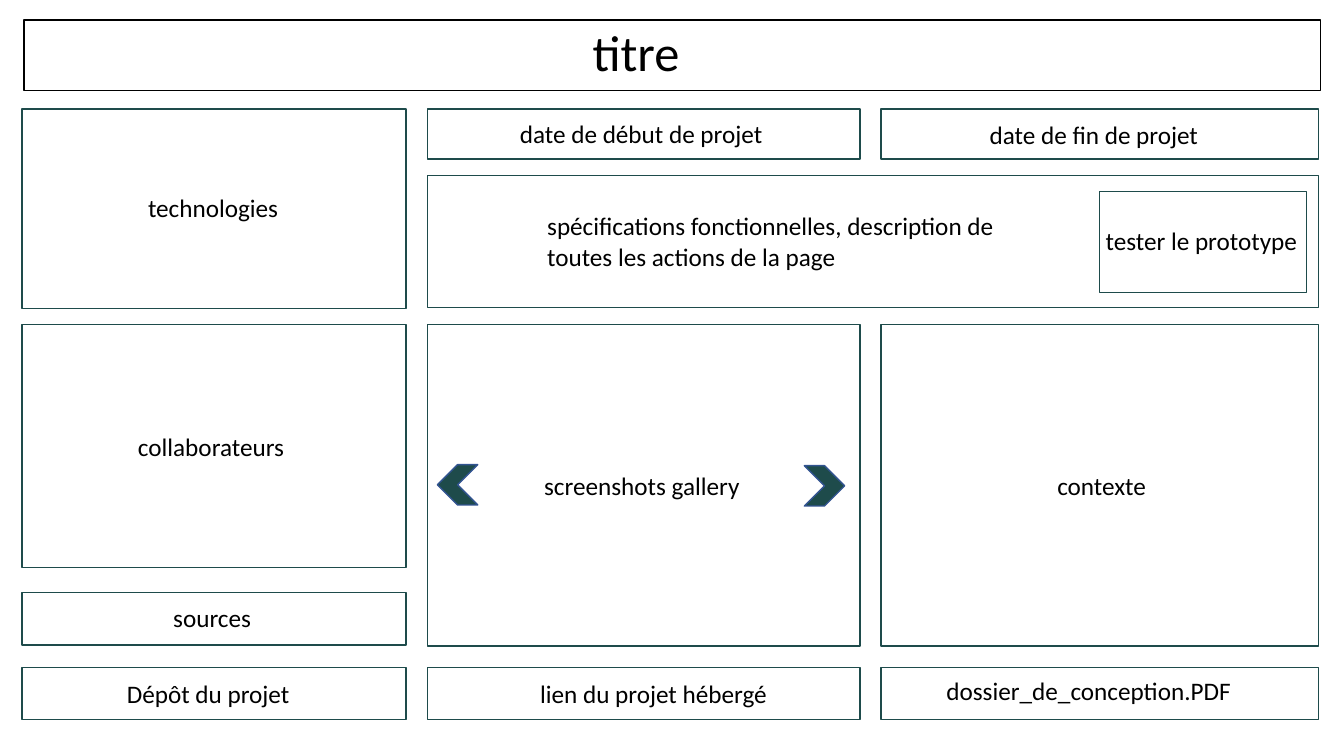
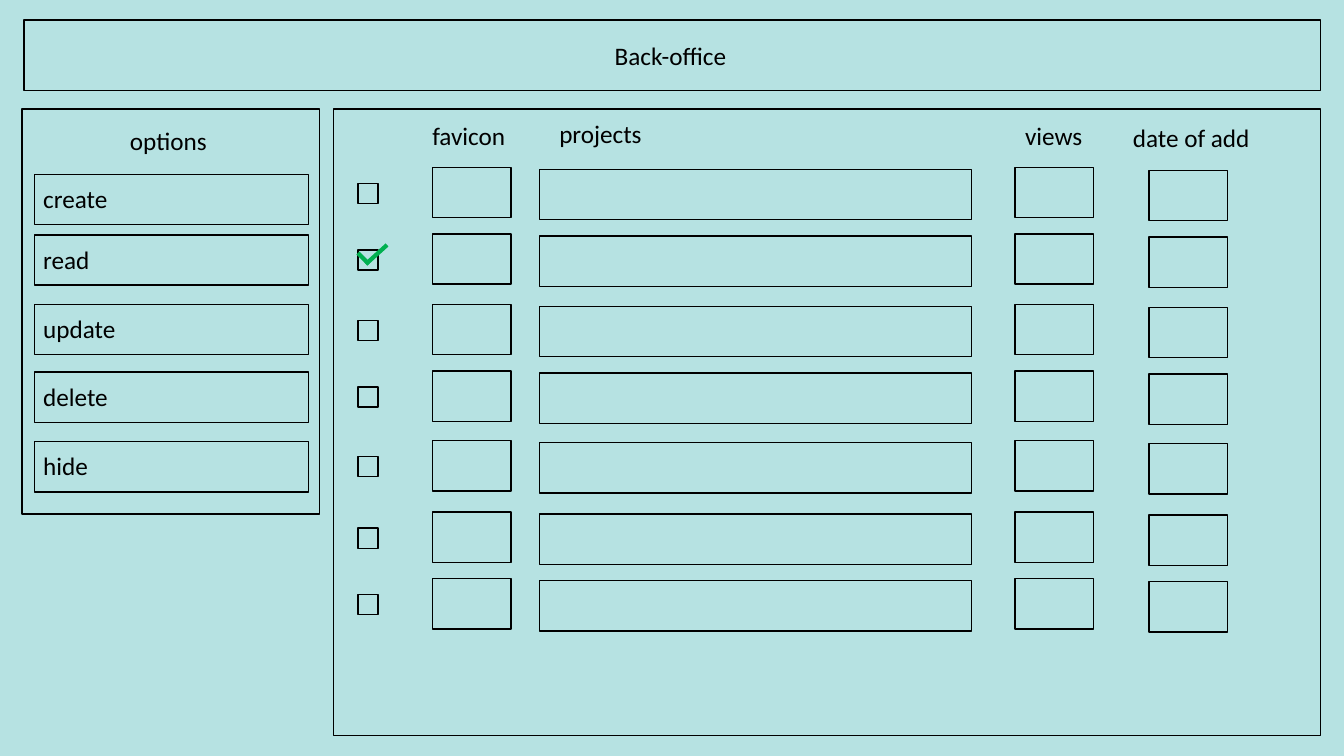
from dataclasses import dataclass
from typing import Any, NamedTuple

from lxml import etree
from pptx import Presentation
from pptx.dml.color import RGBColor
from pptx.enum.shapes import MSO_CONNECTOR, MSO_SHAPE
from pptx.enum.text import MSO_ANCHOR, MSO_AUTO_SIZE, PP_ALIGN
from pptx.oxml.ns import qn
from pptx.slide import Slide
from pptx.util import Emu, Inches, Pt

RECT = MSO_SHAPE.RECTANGLE
ARROW = MSO_SHAPE.CHEVRON
LINE = MSO_CONNECTOR.STRAIGHT
GROW = MSO_AUTO_SIZE.SHAPE_TO_FIT_TEXT
TOP = MSO_ANCHOR.TOP
LEFT = PP_ALIGN.LEFT

WIDE, HIGH = Inches(13.333), Inches(7.5)
ROWS = 75
CELL = HIGH / ROWS
COLS = WIDE / CELL


@dataclass(frozen=True)
class Theme:
    font: str = "Calibri"
    ink: str = "000000"
    teal: str = "1E4B4B"
    edge: str = "325491"
    mist: str = "B6E2E2"
    tick: str = "00B050"
    body: int = 18
    title: int = 36
    thin: int = 1
    bold: int = 3


class Box(NamedTuple):
    col: float
    row: float
    wide: float
    high: float


class Label(NamedTuple):
    text: str
    col: float
    row: float
    wide: float
    high: float = 4
    size: int = 18
    wrap: bool = True


class Track(NamedTuple):
    col: float
    wide: float
    high: float
    drop: float


THEME = Theme()
BAND = Box(2.4, 2, 128.6, 7)


def grid(*cells: float) -> list[Emu]:
    return [Emu(round(cell * CELL)) for cell in cells]


def tint(code: str) -> RGBColor:
    return RGBColor.from_string(code)


def apply(item: Any, form: dict[str, Any]) -> None:
    for name, value in form.items():
        setattr(item, name, value)


def draw(slide: Slide, box: Box, line: str = "", fill: str = "",
         kind: MSO_SHAPE = RECT, flip: bool = False) -> None:
    shape = slide.shapes.add_shape(kind, *grid(*box))
    shape.shadow.inherit = False
    if fill:
        shape.fill.solid()
        shape.fill.fore_color.rgb = tint(fill)
    else:
        shape.fill.background()
    if line:
        shape.line.color.rgb = tint(line)
        shape.line.width = Pt(THEME.thin)
    else:
        shape.line.fill.background()
    if flip:
        shape._element.spPr.find(qn("a:xfrm")).set("flipH", "1")


def write(slide: Slide, label: Label) -> None:
    area = grid(label.col, label.row, label.wide, label.high)
    frame = slide.shapes.add_textbox(*area).text_frame
    apply(frame, {"word_wrap": label.wrap, "auto_size": GROW,
                  "vertical_anchor": TOP})
    para = frame.paragraphs[0]
    para.alignment = LEFT
    run = para.add_run()
    run.text = label.text
    apply(run.font, {"name": THEME.font, "size": Pt(label.size)})
    run.font.color.rgb = tint(THEME.ink)


def stroke(slide: Slide, start: tuple[float, float],
           end: tuple[float, float]) -> None:
    link = slide.shapes.add_connector(LINE, *grid(*start, *end))
    link.line.color.rgb = tint(THEME.tick)
    link.line.width = Pt(THEME.bold)
    etree.SubElement(link._element.spPr, qn("a:effectLst"))


def start(deck: Any, fill: str = "") -> Slide:
    slide = deck.slides.add_slide(deck.slide_layouts[6])
    if fill:
        draw(slide, Box(0, 0, COLS, ROWS), fill=fill)
    draw(slide, BAND, THEME.ink)
    return slide


def project(deck: Any) -> None:
    slide = start(deck)
    side, mid, last = (2.2, 38.1), (42.4, 42.9), (87.4, 43.4)
    span = last[0] + last[1] - mid[0]
    tiles = [
        (side, 10.8, 19.8), (side, 32.2, 24.1), (side, 58.8, 5.2),
        (mid, 10.8, 5), (last, 10.8, 5),
        ((mid[0], span), 17.4, 13.1), ((109.1, 20.5), 19, 10),
        (mid, 32.2, 31.9), (last, 32.2, 31.9),
        *((track, 66.2, 5.2) for track in (side, mid, last)),
    ]
    for (col, wide), row, high in tiles:
        draw(slide, Box(col, row, wide, high), THEME.teal)
    for col, row, flip in ((43.4, 46.1, True), (79.8, 46.2, False)):
        draw(slide, Box(col, row, 4, 4), THEME.edge, THEME.teal, ARROW, flip)
    labels = [
        Label("titre", 57.8, 1.6, 12.1, 7.1, THEME.title),
        Label("technologies", 13.7, 18.6, 15.1),
        Label("date de début de projet", 50.6, 11.2, 27),
        Label("date de fin de projet", 97.2, 11.3, 23.1),
        Label("spécifications fonctionnelles, description de toutes les "
              "actions de la page", 53.3, 20.4, 48.7, 7.1),
        Label("tester le prototype", 108.7, 21.9, 21.2, wrap=False),
        Label("collaborateurs", 12.7, 42.3, 17.1),
        Label("screenshots gallery", 53, 46.2, 21.7),
        Label("contexte", 103.9, 46.2, 10.9),
        Label("sources", 16.2, 59.3, 10.2),
        Label("Dépôt du projet", 11.6, 66.8, 19.3),
        Label("lien du projet hébergé", 52.6, 66.8, 25.8),
        Label("dossier_de_conception.PDF", 92.9, 66.5, 32.8),
    ]
    for label in labels:
        write(slide, label)


def office(deck: Any) -> None:
    slide = start(deck, THEME.mist)
    for panel in (Box(2.2, 10.8, 29.5, 40.2), Box(33.1, 10.8, 97.9, 62.2)):
        draw(slide, panel, THEME.ink)
    labels = [
        Label("Back-office", 60, 3.5, 13.4),
        Label("options", 11.9, 11.9, 10.1),
        Label("favicon", 41.9, 11.4, 11),
        Label("projects", 54.5, 11.2, 11),
        Label("views", 100.7, 11.4, 7.8),
        Label("date of add", 111.4, 11.6, 14.5),
    ]
    options = [
        ("create", 17.3, 9.1), ("read", 23.3, 7.6), ("update", 30.2, 10.2),
        ("delete", 36.9, 9.3), ("hide", 43.8, 7),
    ]
    for text, row, wide in options:
        draw(slide, Box(3.4, row, 27.2, 5), THEME.ink)
        labels.append(Label(text, 3.3, row + 0.4, wide))
    for label in labels:
        write(slide, label)
    tracks = [
        Track(35.5, 2, 2, 1.6), Track(42.9, 7.8, 5, 0),
        Track(53.5, 42.9, 5, 0.2), Track(100.7, 7.8, 5, 0),
        Track(114, 7.8, 5, 0.3),
    ]
    for row in (16.6, 23.2, 30.2, 36.8, 43.7, 50.8, 57.4):
        for col, wide, high, drop in tracks:
            draw(slide, Box(col, row + drop, wide, high), THEME.ink)
    stroke(slide, (35.5, 25.1), (36.6, 26.2))
    stroke(slide, (36.3, 26.2), (38.4, 24.3))


def main() -> None:
    deck = Presentation()
    apply(deck, {"slide_width": WIDE, "slide_height": HIGH})
    project(deck)
    office(deck)
    deck.save("out.pptx")


main()
